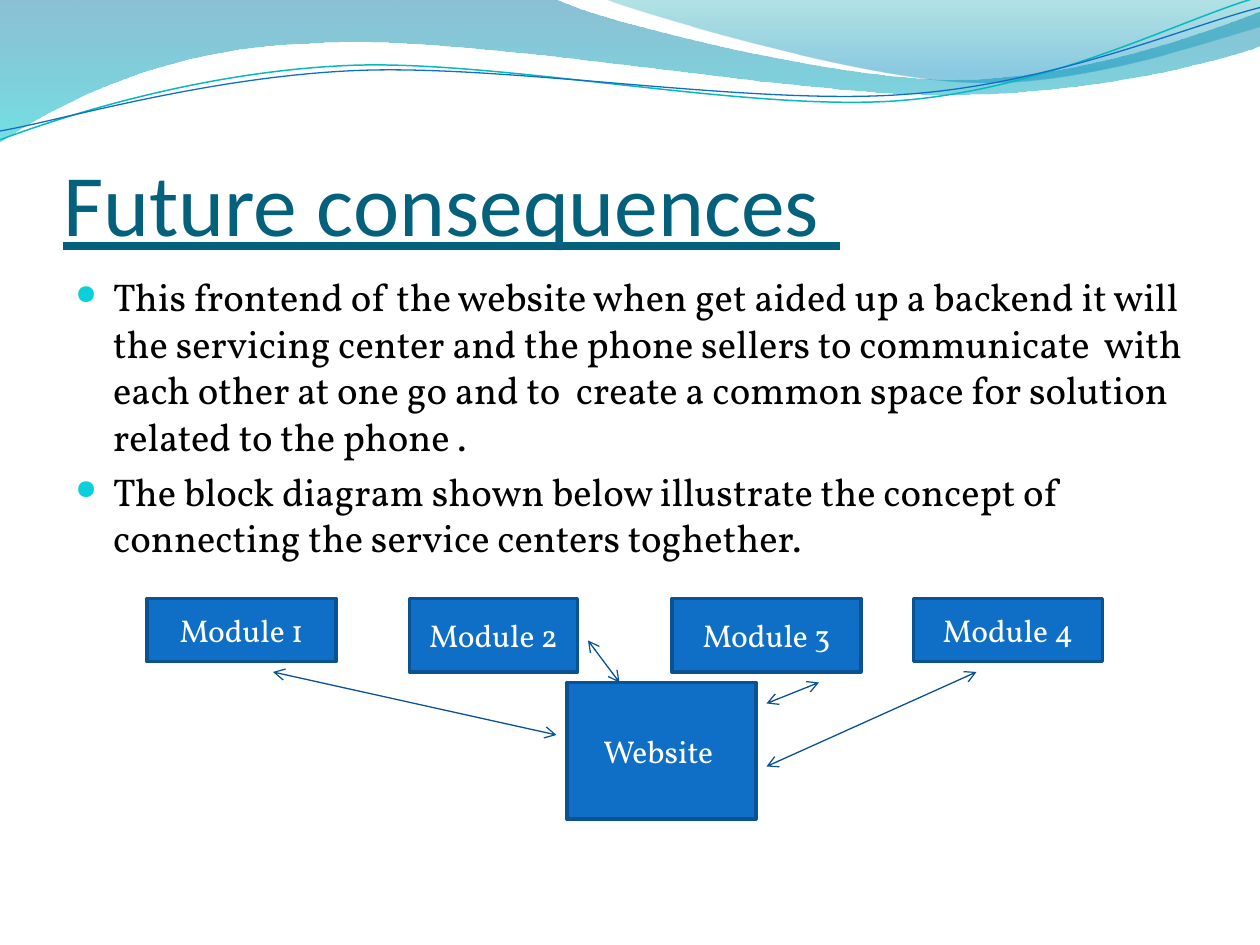
from typing import NamedTuple

from lxml import etree
from pptx import Presentation
from pptx import util as u
from pptx.dml.color import RGBColor
from pptx.enum import shapes, text
from pptx.oxml import parse_xml
from pptx.oxml.ns import nsdecls, qn

GRID = u.Inches(1) // 12  # the slide is 120 columns by 90 rows
BLUE, EDGE, ARROW = "0F6FC6", "0B5292", "095295"
BODY_FONT = "Vollkorn"


class Stop(NamedTuple):
    pos: int
    colour: str
    opacity: int


class Wave(NamedTuple):
    """Start point, then segments of one point (line) or three (Bezier), in inches."""
    start: tuple
    segments: list
    stops: tuple = ()
    line: str = ""
    width: float = 0


class Block(NamedTuple):
    label: str
    col: int
    row: int
    cols: int
    rows: int


class Link(NamedTuple):
    col1: int
    row1: int
    col2: int
    row2: int


WAVES = [
    Wave((0, 0), [
        [(4.4, -0.01)],
        [(4.76, 0.17), (6.64, 0.63), (7.58, 0.63)],
        [(8.53, 0.63), (9.58, 0.26), (10, 0.09)],
        [(10.01, 0.36)],
        [(9.83, 0.44), (8.7, 0.76), (7.46, 0.75)],
        [(6.22, 0.75), (3.82, 0.28), (2.57, 0.34)],
        [(1.29, 0.36), (0.46, 0.83), (-0.01, 1.13)],
        [(0, 0)],
    ], stops=(Stop(0, "0074A1", 45), Stop(100, "00C6CF", 55))),
    Wave((4.79, -0.01), [
        [(5.09, 0.11), (6.82, 0.62), (7.69, 0.65)],
        [(8.56, 0.69), (9.61, 0.32), (10, 0.21)],
        [(10, 0)],
        [(4.79, -0.01)],
    ], stops=(Stop(0, "00A1A9", 30), Stop(80, "008BBF", 45))),
    Wave((0, 1.11), [
        [(0.48, 0.93), (1.58, 0.57), (2.77, 0.52)],
        [(3.95, 0.47), (5.93, 0.89), (7.13, 0.8)],
        [(8.33, 0.71), (9.38, 0.15), (9.98, -0.02)],
    ], line="0AB8BF", width=0.85),
    Wave((0, 1.04), [
        [(0.47, 0.96), (1.64, 0.61), (2.83, 0.56)],
        [(4.03, 0.51), (5.97, 0.84), (7.17, 0.75)],
        [(8.36, 0.67), (9.41, 0.21), (10, 0.06)],
    ], line=BLUE, width=0.75),
]

BLOCKS = [
    Block("Module 2", 39, 57, 16, 7),
    Block("Module 1", 14, 57, 18, 6),
    Block("Module 3", 64, 57, 18, 7),
    Block("Module 4", 87, 57, 18, 6),
    Block("Website ", 54, 65, 18, 13),
]

LINKS = [
    Link(26, 64, 53, 70),
    Link(56, 61, 59, 65),
    Link(73, 67, 78, 65),
    Link(73, 73, 93, 64),
]

POINTS = [
    "This frontend of the website when get aided up a backend it will the "
    "servicing center and the phone sellers to communicate  with each other at "
    "one go and to  create a common space for solution related to the phone .",
    "The block diagram shown below illustrate the concept of connecting the "
    "service centers toghether.",
]


def rgb(colour: str) -> RGBColor:
    return RGBColor.from_string(colour)


def cells(*counts: int) -> list:
    return [n * GRID for n in counts]


def write(p, words: str, *, size: float, font: str, colour: str,
          underline: bool = False, align=text.PP_ALIGN.LEFT) -> None:
    p.alignment = align
    r = p.add_run()
    r.text = words
    r.font.size, r.font.name = u.Pt(size), font
    r.font.color.rgb = rgb(colour)
    r.font.underline = underline


def emu(point: tuple) -> tuple:
    return tuple(u.Inches(v) for v in point)


def bend(sp, segments: list) -> None:
    """Turn each run of three straight steps into one Bezier curve."""
    steps = iter(list(sp._element.iter(qn("a:lnTo"))))
    for seg in segments:
        lines = [next(steps) for _ in seg]
        if len(seg) == 3:
            curve = etree.Element(qn("a:cubicBezTo"))
            lines[0].addprevious(curve)
            for line in lines:
                curve.append(line[0])
                line.getparent().remove(line)


def draw_wave(slide, wave: Wave) -> None:
    fb = slide.shapes.build_freeform(*emu(wave.start))
    fb.add_line_segments([emu(pt) for seg in wave.segments for pt in seg],
                         close=False)
    sp = fb.convert_to_shape()
    bend(sp, wave.segments)
    sp.shadow.inherit = False
    if wave.stops:
        sp.line.fill.background()
        stops = "".join(
            f'<a:gs pos="{s.pos * 1000}"><a:srgbClr val="{s.colour}">'
            f'<a:alpha val="{s.opacity * 1000}"/></a:srgbClr></a:gs>'
            for s in wave.stops)
        sp._element.spPr.find(qn("a:custGeom")).addnext(parse_xml(
            f'<a:gradFill {nsdecls("a")}><a:gsLst>{stops}</a:gsLst>'
            '<a:lin ang="5400000" scaled="0"/></a:gradFill>'))
    else:
        sp.fill.background()
        sp.line.color.rgb = rgb(wave.line)
        sp.line.width = u.Pt(wave.width)


def draw_title(slide, words: str) -> None:
    sp = slide.shapes.title
    sp.left, sp.top, sp.width, sp.height = map(u.Inches, (0.5, 0.77, 9, 1.25))
    tf = sp.text_frame
    tf.margin_left = tf.margin_right = tf.margin_bottom = 0
    tf.margin_top = u.Inches(0.05)
    tf.vertical_anchor = text.MSO_ANCHOR.BOTTOM
    write(tf.paragraphs[0], words, size=50, font="Calibri", colour="04617B",
          underline=True)


def add_bullet(p) -> None:
    pPr = p._p.get_or_add_pPr()
    indent = u.Inches(0.3)
    pPr.set("marL", str(indent))
    pPr.set("indent", str(-indent))
    colour = etree.SubElement(pPr, qn("a:buClr"))
    etree.SubElement(colour, qn("a:srgbClr"), val="0BD0D9")
    etree.SubElement(pPr, qn("a:buSzPct"), val="70000")
    etree.SubElement(pPr, qn("a:buChar"), char="●")


def draw_points(slide, points: list) -> None:
    sp = slide.shapes.add_textbox(*map(u.Inches, (0.5, 2.12, 9, 4.8)))
    tf = sp.text_frame
    tf.word_wrap = True
    for i, words in enumerate(points):
        p = tf.add_paragraph() if i else tf.paragraphs[0]
        p.line_spacing, p.space_before = 1.0, u.Pt(5)
        add_bullet(p)
        write(p, words, size=22.1, font=BODY_FONT, colour="000000")


def draw_block(slide, b: Block) -> None:
    sp = slide.shapes.add_shape(shapes.MSO_SHAPE.RECTANGLE,
                                *cells(b.col, b.row, b.cols, b.rows))
    sp.shadow.inherit = False
    sp.fill.solid()
    sp.fill.fore_color.rgb = rgb(BLUE)
    sp.line.color.rgb = rgb(EDGE)
    sp.line.width = u.Pt(2)
    sp.text_frame.vertical_anchor = text.MSO_ANCHOR.MIDDLE
    write(sp.text_frame.paragraphs[0], b.label, size=18, font=BODY_FONT,
          colour="FFFFFF", align=text.PP_ALIGN.CENTER)


def draw_link(slide, link: Link) -> None:
    sp = slide.shapes.add_connector(shapes.MSO_CONNECTOR.STRAIGHT, *cells(*link))
    sp.line.color.rgb = rgb(ARROW)
    sp.line.width = u.Pt(0.75)
    for end in ("a:headEnd", "a:tailEnd"):
        etree.SubElement(sp.line._get_or_add_ln(), qn(end), type="arrow")
    etree.SubElement(sp._element.spPr, qn("a:effectLst"))


def main() -> None:
    prs = Presentation()
    prs.slide_width, prs.slide_height = cells(120, 90)
    slide = prs.slides.add_slide(prs.slide_layouts[5])
    for wave in WAVES:
        draw_wave(slide, wave)
    draw_title(slide, "Future consequences ")
    draw_points(slide, POINTS)
    for block in BLOCKS:
        draw_block(slide, block)
    for link in LINKS:
        draw_link(slide, link)
    prs.save("out.pptx")


if __name__ == "__main__":
    main()
